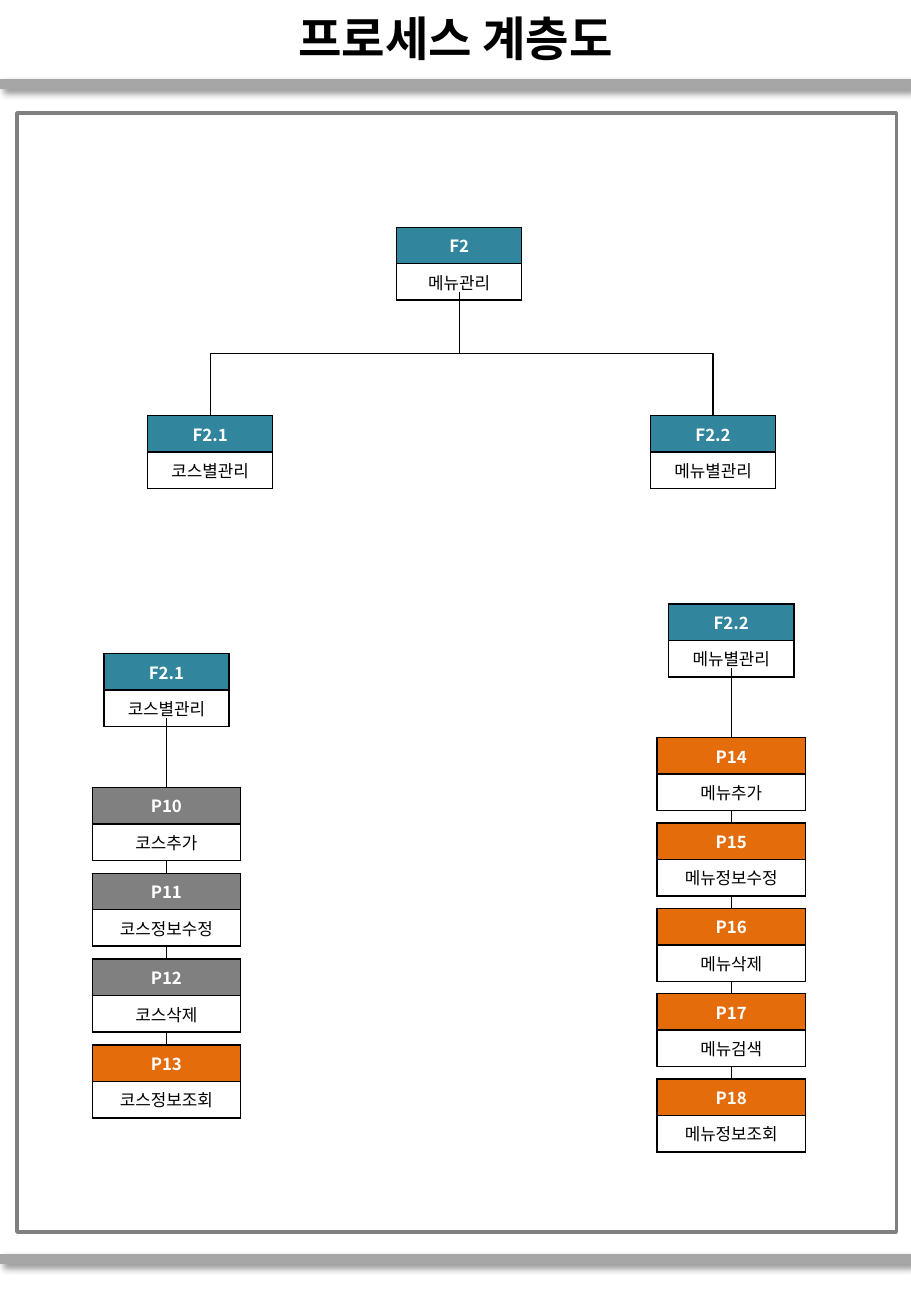
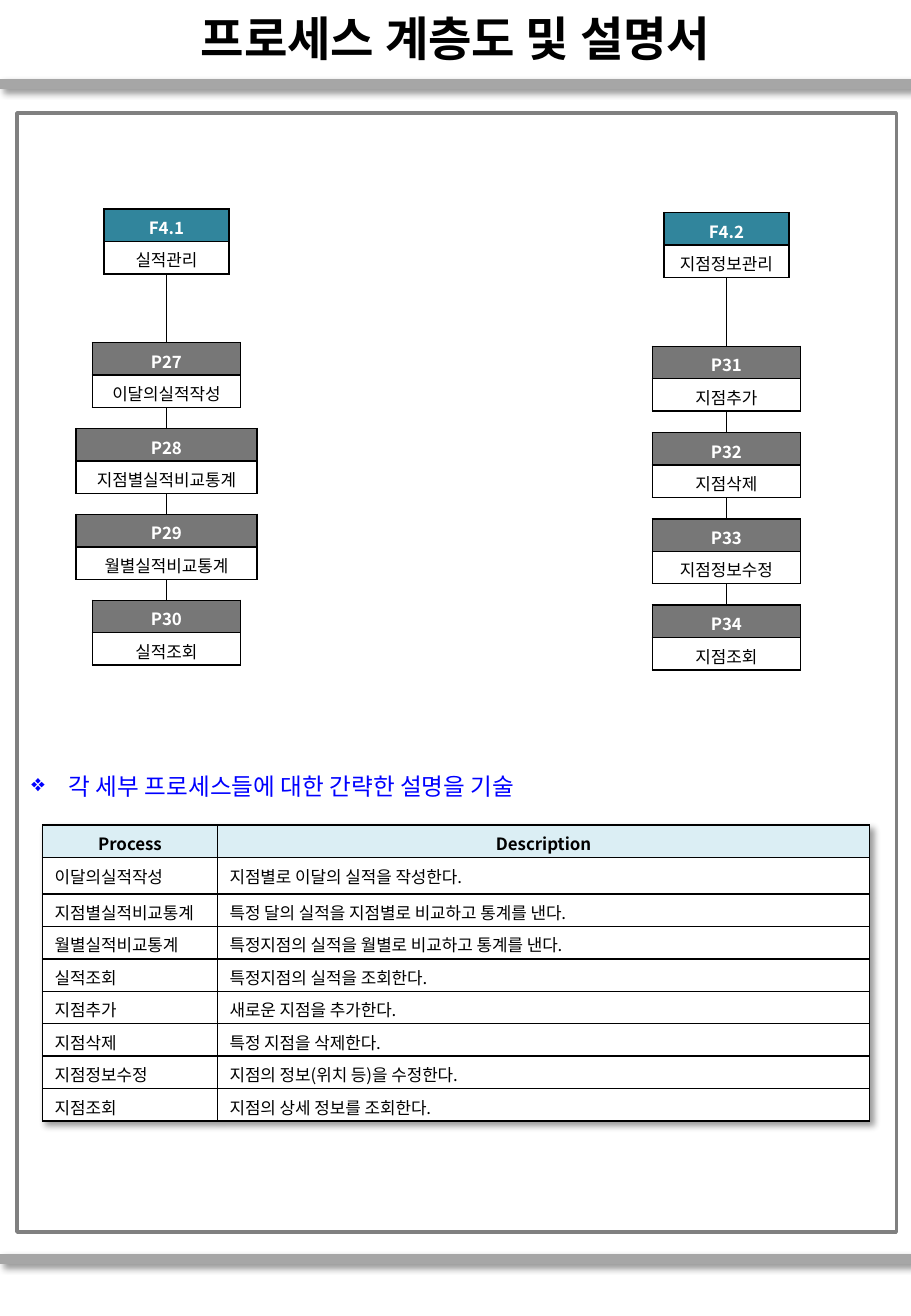
from lxml import etree
from pptx import Presentation
from pptx.dml.color import RGBColor
from pptx.enum.shapes import MSO_CONNECTOR, MSO_SHAPE
from pptx.enum.text import MSO_AUTO_SIZE, PP_ALIGN
from pptx.oxml.ns import qn
from pptx.util import Inches, Pt

STRAIGHT, ELBOW = MSO_CONNECTOR.STRAIGHT, MSO_CONNECTOR.ELBOW
RECT = MSO_SHAPE.RECTANGLE
LEFT, CENTER = PP_ALIGN.LEFT, PP_ALIGN.CENTER
FIXED = MSO_AUTO_SIZE.NONE

FONT = "Noto Sans CJK KR"
BLACK, WHITE, BLUE = "000000", "FFFFFF", "0000FF"
BAND, FRAME, HEAD = "A6A6A6", "808080", "DBEEF4"
TEAL, ORANGE, GRAY, DARK = "31859C", "E46C0A", "808080", "777777"

COLS, ROWS = 75, 108.3
CARD, ROOT, WIDE = 12.2, 10.3, 14.9
TALL, SHORT = 3, 2.67
DROP, STEM = 11, 5.3

PLAN = [
    ("F2.1", "코스별관리", (13.7, 53.8, 86), [
        ("P10", "코스추가", GRAY),
        ("P11", "코스정보수정", GRAY),
        ("P12", "코스삭제", GRAY),
        ("P13", "코스정보조회", ORANGE)]),
    ("F2.2", "메뉴별관리", (60.2, 49.7, 88.8), [
        ("P14", "메뉴추가", ORANGE),
        ("P15", "메뉴정보수정", ORANGE),
        ("P16", "메뉴삭제", ORANGE),
        ("P17", "메뉴검색", ORANGE),
        ("P18", "메뉴정보조회", ORANGE)]),
]
SALES = [
    ("F4.1", "실적관리", (13.7, 17.2, 49.4), [
        ("P27", "이달의실적작성", DARK),
        ("P28", "지점별실적비교통계", DARK),
        ("P29", "월별실적비교통계", DARK),
        ("P30", "실적조회", DARK)]),
    ("F4.2", "지점정보관리", (59.8, 17.5, 49.8), [
        ("P31", "지점추가", DARK),
        ("P32", "지점삭제", DARK),
        ("P33", "지점정보수정", DARK),
        ("P34", "지점조회", DARK)]),
]
NOTES = [
    ("Process", "Description"),
    ("이달의실적작성", "지점별로 이달의 실적을 작성한다."),
    ("지점별실적비교통계", "특정 달의 실적을 지점별로 비교하고 통계를 낸다."),
    ("월별실적비교통계", "특정지점의 실적을 월별로 비교하고 통계를 낸다."),
    ("실적조회", "특정지점의 실적을 조회한다."),
    ("지점추가", "새로운 지점을 추가한다."),
    ("지점삭제", "특정 지점을 삭제한다."),
    ("지점정보수정", "지점의 정보(위치 등)을 수정한다."),
    ("지점조회", "지점의 상세 정보를 조회한다."),
]


def grid(*cells):
    return [Inches(n / 10) for n in cells]


def paint(fill, tint):
    fill.solid()
    fill.fore_color.rgb = RGBColor.from_string(tint)


def write(frame, text, size, tint, bold=False, align=LEFT):
    frame.text = text
    para = frame.paragraphs[0]
    para.alignment = align
    for run in para.runs:
        font = run.font
        font.size, font.bold, font.name = Pt(size), bold, FONT
        paint(font.fill, tint)
        etree.SubElement(font._element, qn("a:ea"), typeface=FONT)


def shade(node, spot=None):
    fx = etree.Element(qn("a:effectLst"))
    if spot is None:
        node.append(fx)
    else:
        node.insert(spot, fx)
    return fx


def drop(fx):
    cast = etree.SubElement(fx, qn("a:outerShdw"), blurRad="50800", dist="38100",
                            dir="2700000", algn="tl", rotWithShape="0")
    tone = etree.SubElement(cast, qn("a:srgbClr"), val=BLACK)
    etree.SubElement(tone, qn("a:alpha"), val="40000")


def link(slide, kind, ends, tint=BLACK, width=0.75, cast=False):
    line = slide.shapes.add_connector(kind, *grid(*ends))
    paint(line.line.fill, tint)
    line.line.width = Pt(width)
    fx = shade(line._element.spPr)
    if cast:
        drop(fx)
    return line


def branch(slide, x, y, end, foot):
    wide, high = abs(end - x), foot - y
    left, top = (x + end - high) / 2, (y + foot - wide) / 2
    line = link(slide, ELBOW, (left, top, left + high, top + wide))
    turn = line._element.spPr.find(qn("a:xfrm"))
    if end < x:
        turn.set("rot", "5400000")
    else:
        turn.set("rot", "16200000")
        turn.set("flipH", "1")


def edge(cell):
    props = cell._tc.get_or_add_tcPr()
    for spot, side in enumerate(("lnL", "lnR", "lnT", "lnB")):
        line = etree.Element(qn("a:" + side), w=str(Pt(1)))
        fill = etree.SubElement(line, qn("a:solidFill"))
        etree.SubElement(fill, qn("a:srgbClr"), val=BLACK)
        props.insert(spot, line)


def table(slide, x, y, widths, heights):
    shape = slide.shapes.add_table(len(heights), len(widths),
                                   *grid(x, y, sum(widths), sum(heights)))
    sheet = shape.table
    sheet.first_row = sheet.horz_banding = False
    for col, wide in zip(sheet.columns, widths):
        col.width = grid(wide)[0]
    for row, high in zip(sheet.rows, heights):
        row.height = grid(high)[0]
    return sheet


def put(cell, text, fill, tint, bold, align):
    cell.margin_top, cell.margin_bottom = grid(0.5, 0.1)
    write(cell.text_frame, text, 10, tint, bold, align)
    paint(cell.fill, fill)
    edge(cell)


def card(slide, mid, top, wide, high, code, name, fill):
    sheet = table(slide, mid - wide / 2, top, [wide], [high, high])
    put(sheet.cell(0, 0), code, fill, WHITE, True, CENTER)
    put(sheet.cell(1, 0), name, WHITE, BLACK, False, CENTER)


def stack(slide, high, code, name, box, items):
    mid, top, last = box
    card(slide, mid, top, ROOT, high, code, name, TEAL)
    link(slide, STRAIGHT, (mid, top + STEM, mid, last))
    first = top + DROP
    step = (last - first) / (len(items) - 1)
    for k, (tag, label, fill) in enumerate(items):
        wide = WIDE if len(label) > 7 else CARD
        card(slide, mid, first + k * step, wide, high, tag, label, fill)


def crown(slide, mid, top, foot, kids):
    card(slide, mid, top, ROOT, TALL, "F2", "메뉴관리", TEAL)
    for code, name, x in kids:
        card(slide, x, foot, ROOT, TALL, code, name, TEAL)
        branch(slide, mid, top + STEM, x, foot)


def lead(slide, box, text):
    frame = slide.shapes.add_textbox(*grid(*box)).text_frame
    frame.word_wrap = True
    write(frame, text, 14, BLUE)
    props = frame.paragraphs[0]._p.get_or_add_pPr()
    dent = Inches(0.31)
    props.set("marL", str(dent))
    props.set("indent", str(-dent))
    etree.SubElement(props, qn("a:buChar"), char="❖")


def notes(slide, x, y):
    heights = [SHORT] * len(NOTES)
    heights[1] = TALL
    sheet = table(slide, x, y, [14.4, 53.7], heights)
    drop(shade(sheet._tbl.tblPr, 0))
    for r, row in enumerate(NOTES):
        top = r == 0
        for c, text in enumerate(row):
            put(sheet.cell(r, c), text, HEAD if top else WHITE, BLACK,
                top, CENTER if top else LEFT)


def place(shape, box):
    shape.left, shape.top, shape.width, shape.height = grid(*box)


def dress(layout, slide):
    for item in list(layout.placeholders):
        if item.placeholder_format.idx:
            item._element.getparent().remove(item._element)
        else:
            place(item, (0, 0.1, COLS, 6))
    for y in (6.9, 103.6):
        band = link(slide, STRAIGHT, (0, y, COLS, y), BAND, 6, True)
        layout.shapes._spTree.append(band._element)


def page(deck, layout, text):
    slide = deck.slides.add_slide(layout)
    frame = slide.shapes.title.text_frame
    frame.auto_size = FIXED
    write(frame, text, 28, BLACK, True, CENTER)
    rim = slide.shapes.add_shape(RECT, *grid(1.4, 9.3, 72.4, 92.1))
    rim.shadow.inherit = False
    paint(rim.fill, WHITE)
    paint(rim.line.fill, FRAME)
    rim.line.width = Pt(2)
    return slide


def main():
    deck = Presentation()
    deck.slide_width, deck.slide_height = grid(COLS, ROWS)
    layout = deck.slide_layouts[5]

    menu = page(deck, layout, "프로세스 계층도")
    dress(layout, menu)
    crown(menu, 37.8, 18.7, 34.2,
          [("F2.1", "코스별관리", 17.3), ("F2.2", "메뉴별관리", 58.7)])
    for tree in PLAN:
        stack(menu, TALL, *tree)

    sales = page(deck, layout, "프로세스 계층도 및 설명서")
    for tree in SALES:
        stack(sales, SHORT, *tree)
    lead(sales, (1.6, 63, 61.4, 3.4), "각 세부 프로세스들에 대한 간략한 설명을 기술")
    notes(sales, 3.5, 67.9)

    deck.save("out.pptx")


if __name__ == "__main__":
    main()
